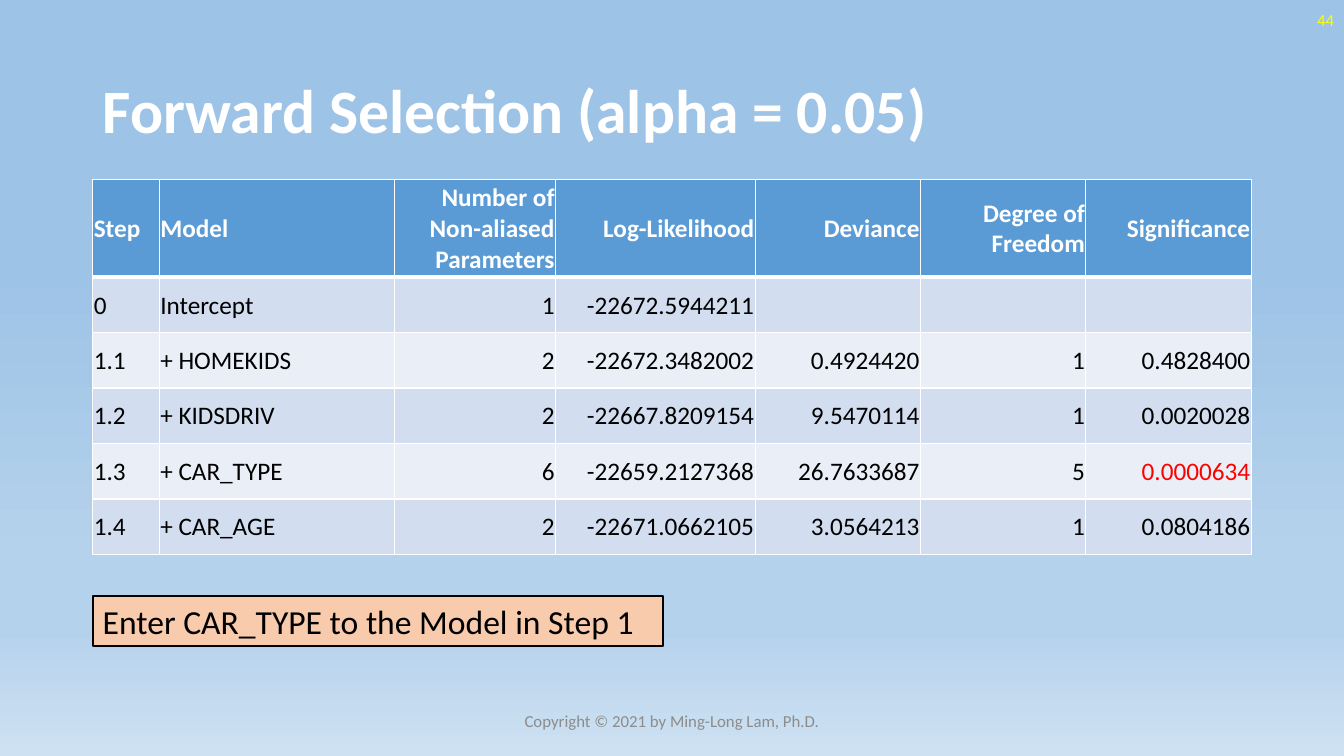
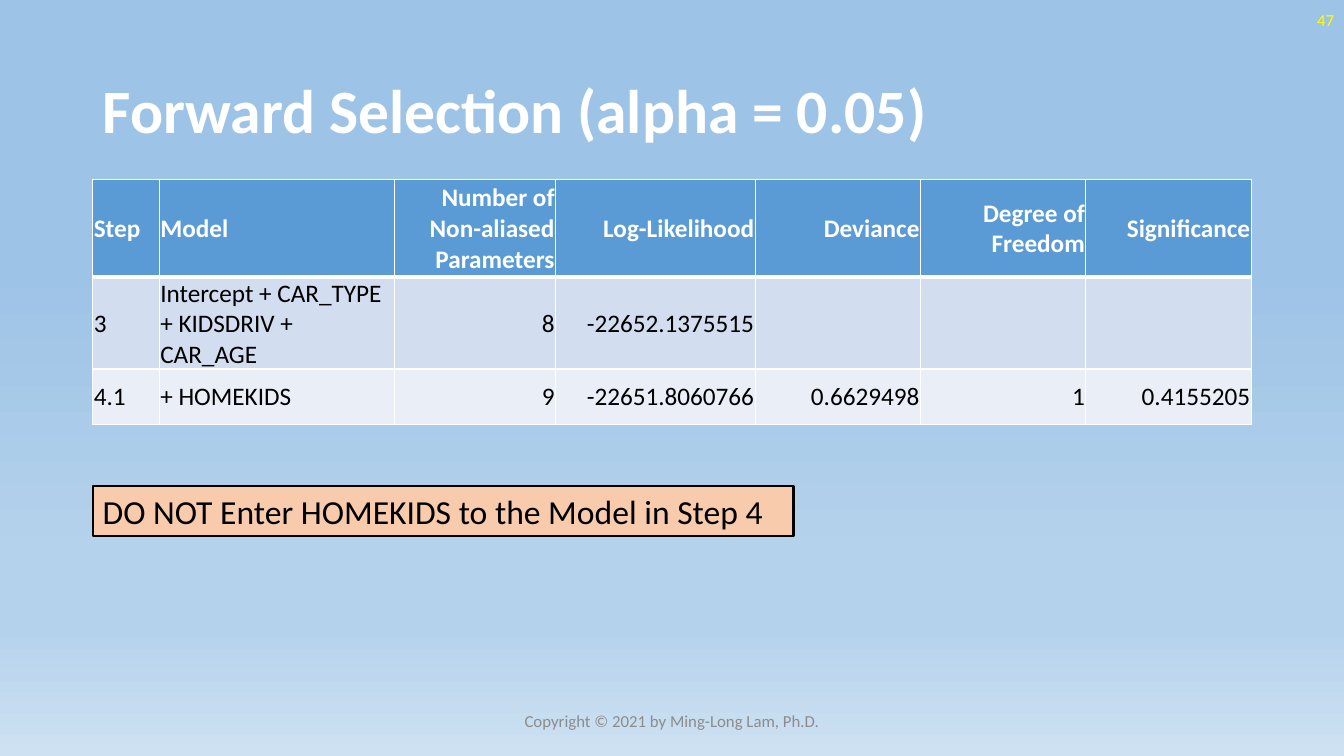
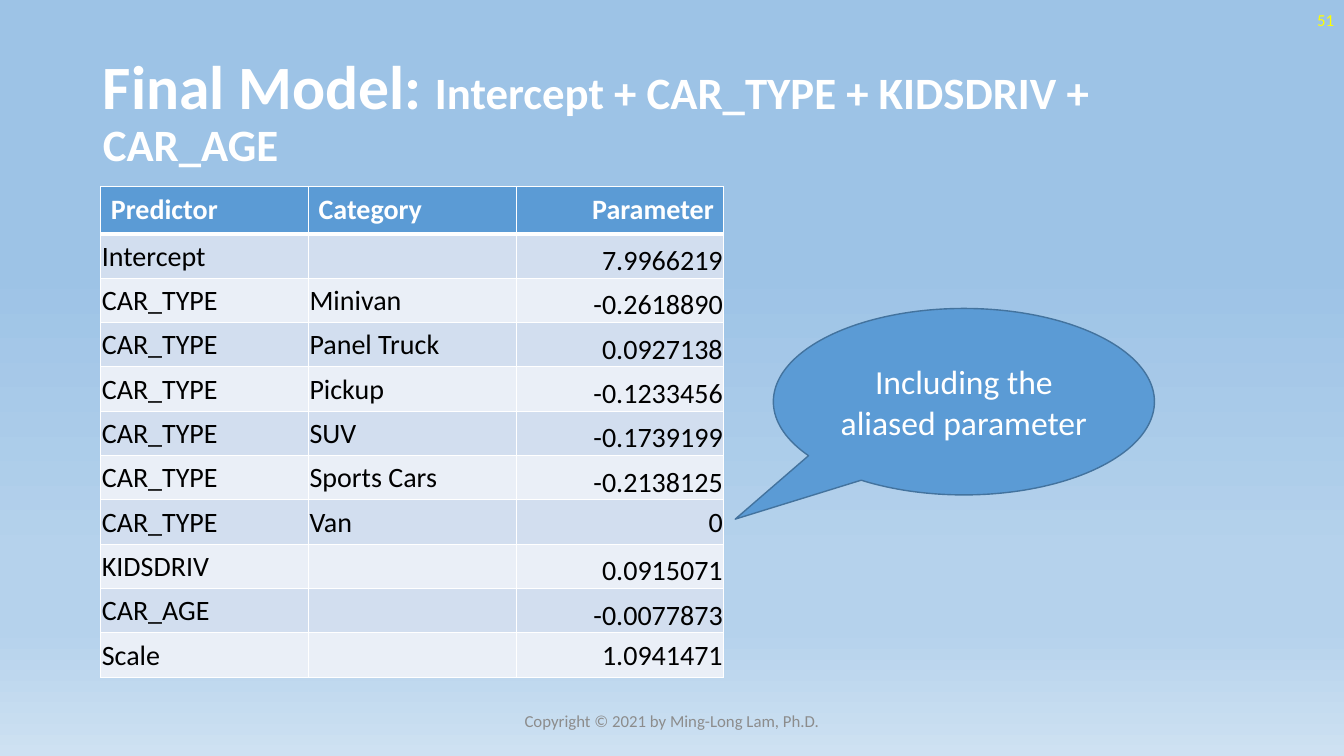
import pptx
import pptx.util
from lxml import etree
from pptx.dml.color import RGBColor
from pptx.enum.shapes import MSO_SHAPE
from pptx.enum.text import MSO_ANCHOR, MSO_AUTO_SIZE, PP_ALIGN
from pptx.oxml.ns import qn

Inches, Pt = pptx.util.Inches, pptx.util.Pt
LEFT, CENTER, RIGHT = PP_ALIGN.LEFT, PP_ALIGN.CENTER, PP_ALIGN.RIGHT
TOP, MIDDLE, BOTTOM = MSO_ANCHOR.TOP, MSO_ANCHOR.MIDDLE, MSO_ANCHOR.BOTTOM

WIDTH, HEIGHT = 13.33, 7.5
MARGIN = 0.92
WHITE = RGBColor(0xFF, 0xFF, 0xFF)
BLACK = RGBColor(0, 0, 0)
RED = RGBColor(0xFF, 0, 0)
YELLOW = RGBColor(0xFF, 0xFF, 0)
GRAY = RGBColor(0x8C, 0x8C, 0x8C)
BLUE = RGBColor(0x5B, 0x9B, 0xD5)
DARK_BLUE = RGBColor(0x43, 0x73, 0x9E)
PEACH = RGBColor(0xF8, 0xCB, 0xAD)
BANDS = [RGBColor(0xD2, 0xDE, 0xEF), RGBColor(0xEA, 0xEF, 0xF7)]
SKY = [(35, "9DC3E6"), (74, "B5D2EC"), (83, "B5D2EC"), (100, "CEE1F2")]

COPYRIGHT = "Copyright © 2021 by Ming-Long Lam, Ph.D."
SELECTION_TITLE = [("Forward Selection (alpha = 0.05)", 44)]
FINAL_TITLE = [("Final Model:", 44), (" ", 40),
               ("Intercept + CAR_TYPE + KIDSDRIV + CAR_AGE", 32)]

STEP_HEADER = ("Step", "Model", "Number of Non-aliased Parameters", "Log-Likelihood",
               "Deviance", "Degree of Freedom", "Significance")
STEP_COLUMNS = [0.66, 2.33, 1.6, 1.98, 1.64, 1.64, 1.64]
SELECTION_SLIDES = [
    dict(number=44, decision="Enter CAR_TYPE to the Model in Step 1",
         box=(MARGIN, 5.91, 5.66, 0.5), best="0.0000634", rows=[
             ("0", "Intercept", "1", "-22672.5944211", "", "", ""),
             ("1.1", "+ HOMEKIDS", "2", "-22672.3482002", "0.4924420", "1", "0.4828400"),
             ("1.2", "+ KIDSDRIV", "2", "-22667.8209154", "9.5470114", "1", "0.0020028"),
             ("1.3", "+ CAR_TYPE", "6", "-22659.2127368", "26.7633687", "5", "0.0000634"),
             ("1.4", "+ CAR_AGE", "2", "-22671.0662105", "3.0564213", "1", "0.0804186"),
         ]),
    dict(number=47, decision="DO NOT Enter HOMEKIDS to the Model in Step 4",
         box=(MARGIN, 4.82, 6.95, 0.5), best=None, rows=[
             ("3", "Intercept + CAR_TYPE + KIDSDRIV + CAR_AGE", "8", "-22652.1375515",
              "", "", ""),
             ("4.1", "+ HOMEKIDS", "9", "-22651.8060766", "0.6629498", "1", "0.4155205"),
         ]),
]

PARAMETER_HEADER = ("Predictor", "Category", "Parameter")
PARAMETERS = [
    ("Intercept", "", "7.9966219"),
    ("CAR_TYPE", "Minivan", "-0.2618890"),
    ("CAR_TYPE", "Panel Truck", "0.0927138"),
    ("CAR_TYPE", "Pickup", "-0.1233456"),
    ("CAR_TYPE", "SUV", "-0.1739199"),
    ("CAR_TYPE", "Sports Cars", "-0.2138125"),
    ("CAR_TYPE", "Van", "0"),
    ("KIDSDRIV", "", "0.0915071"),
    ("CAR_AGE", "", "-0.0077873"),
    ("Scale", "", "1.0941471"),
]
CENTERED_VALUES = ("0", "1.0941471")


def inches(lengths):
    return [Inches(v) for v in lengths]


def write(tf, runs, align=LEFT, anchor=MIDDLE, **font):
    """Fill the first paragraph with (text, size) runs sharing one font."""
    tf.word_wrap = True
    tf.vertical_anchor = anchor
    p = tf.paragraphs[0]
    p.alignment = align
    for text, size in runs:
        r = p.add_run()
        r.text = text
        r.font.size = Pt(size)
        r.font.name = "Calibri"
        for name, value in font.items():
            if name == "color":
                r.font.color.rgb = value
            else:
                setattr(r.font, name, value)
    return p


def paint_background(master):
    fill = master.background.fill
    fill.gradient()
    fill.gradient_angle = 270
    stops = master.element.find(".//" + qn("a:gsLst"))
    for stop in list(stops):
        stops.remove(stop)
    for percent, color in SKY:
        stop = etree.SubElement(stops, qn("a:gs"), pos=str(percent * 1000))
        etree.SubElement(stop, qn("a:srgbClr"), val=color)


def add_label(s, box, text, align, color):
    tf = s.shapes.add_textbox(*inches(box)).text_frame
    write(tf, [(text, 12)], align, color=color)


def add_slide(prs, title, number):
    s = prs.slides.add_slide(prs.slide_layouts[5])
    sp = s.shapes.title
    sp.left, sp.top, sp.width, sp.height = inches((MARGIN, 0.4, 11.5, 1.45))
    sp.text_frame.auto_size = MSO_AUTO_SIZE.NONE
    p = write(sp.text_frame, title, color=WHITE, bold=True)
    p.line_spacing = 0.9
    add_label(s, (WIDTH - 3, 0, 3, 0.4), str(number), RIGHT, YELLOW)
    add_label(s, ((WIDTH - 4.5) / 2, 6.95, 4.5, 0.4), COPYRIGHT, CENTER, GRAY)
    return s


def set_borders(cell, row):
    """White rules, with a heavy one between the header and the body."""
    widths = dict(lnL=1, lnR=1, lnT=3 if row == 1 else 1, lnB=3 if row == 0 else 1)
    tcPr = cell._tc.get_or_add_tcPr()
    for i, (side, width) in enumerate(widths.items()):
        ln = etree.Element(qn("a:" + side), w=str(Pt(width)))
        fill = etree.SubElement(ln, qn("a:solidFill"))
        etree.SubElement(fill, qn("a:srgbClr"), val=str(WHITE))
        tcPr.insert(i, ln)


def add_table(s, left, top, columns, heights, rows, size, left_columns=2,
              header_inset=0.01, low_values=False, best=None):
    """Add a banded table; the columns after left_columns align right."""
    table = s.shapes.add_table(len(rows), len(columns), *inches(
        (left, top, sum(columns), heights[0] + heights[1] * (len(rows) - 1)))).table
    for column, width in zip(table.columns, columns):
        column.width = Inches(width)
    for i, values in enumerate(rows):
        table.rows[i].height = Inches(heights[min(i, 1)])
        for j, text in enumerate(values):
            cell = table.cell(i, j)
            cell.fill.solid()
            cell.fill.fore_color.rgb = BANDS[(i - 1) % 2] if i else BLUE
            set_borders(cell, i)
            if not text:
                continue
            inset = 0.01 if i else header_inset
            cell.margin_left = cell.margin_right = Inches(inset)
            cell.margin_top = Inches(min(inset, 0.05))
            cell.margin_bottom = Inches(0 if inset == 0.01 else 0.05)
            number = j >= left_columns
            low = low_values and i and number and text not in CENTERED_VALUES
            color = WHITE if i == 0 else RED if text == best else BLACK
            write(cell.text_frame, [(text, size)], RIGHT if number else LEFT,
                  color=color, bold=i == 0)
            cell.vertical_anchor = BOTTOM if low else MIDDLE


def add_box(s, kind, box, fill, line, width, text, color, **place):
    sp = s.shapes.add_shape(kind, *inches(box))
    sp.shadow.inherit = False
    sp.fill.solid()
    sp.fill.fore_color.rgb = fill
    sp.line.color.rgb = line
    sp.line.width = Pt(width)
    write(sp.text_frame, [(text, 24)], color=color, **place)
    return sp


def main():
    prs = pptx.Presentation()
    prs.slide_width, prs.slide_height = inches((WIDTH, HEIGHT))
    paint_background(prs.slide_master)

    for step in SELECTION_SLIDES:
        s = add_slide(prs, SELECTION_TITLE, step["number"])
        add_table(s, MARGIN, 1.78, STEP_COLUMNS, (0.97, 0.55),
                  [STEP_HEADER] + step["rows"], 18, best=step["best"])
        sp = add_box(s, MSO_SHAPE.RECTANGLE, step["box"], PEACH, BLACK, 1.5,
                     step["decision"], BLACK, anchor=TOP)
        sp.text_frame.auto_size = MSO_AUTO_SIZE.SHAPE_TO_FIT_TEXT

    s = add_slide(prs, FINAL_TITLE, 51)
    add_table(s, 1, 1.85, [2.06] * 3, (0.47, 0.44), [PARAMETER_HEADER] + PARAMETERS, 20,
              header_inset=0.1, low_values=True)
    sp = add_box(s, MSO_SHAPE.OVAL_CALLOUT, (7.67, 3.06, 3.78, 1.85), BLUE, DARK_BLUE, 1,
                 "Including the aliased parameter", WHITE, align=CENTER)
    sp.adjustments[0], sp.adjustments[1] = -0.6, 0.63

    prs.save("out.pptx")


if __name__ == "__main__":
    main()
